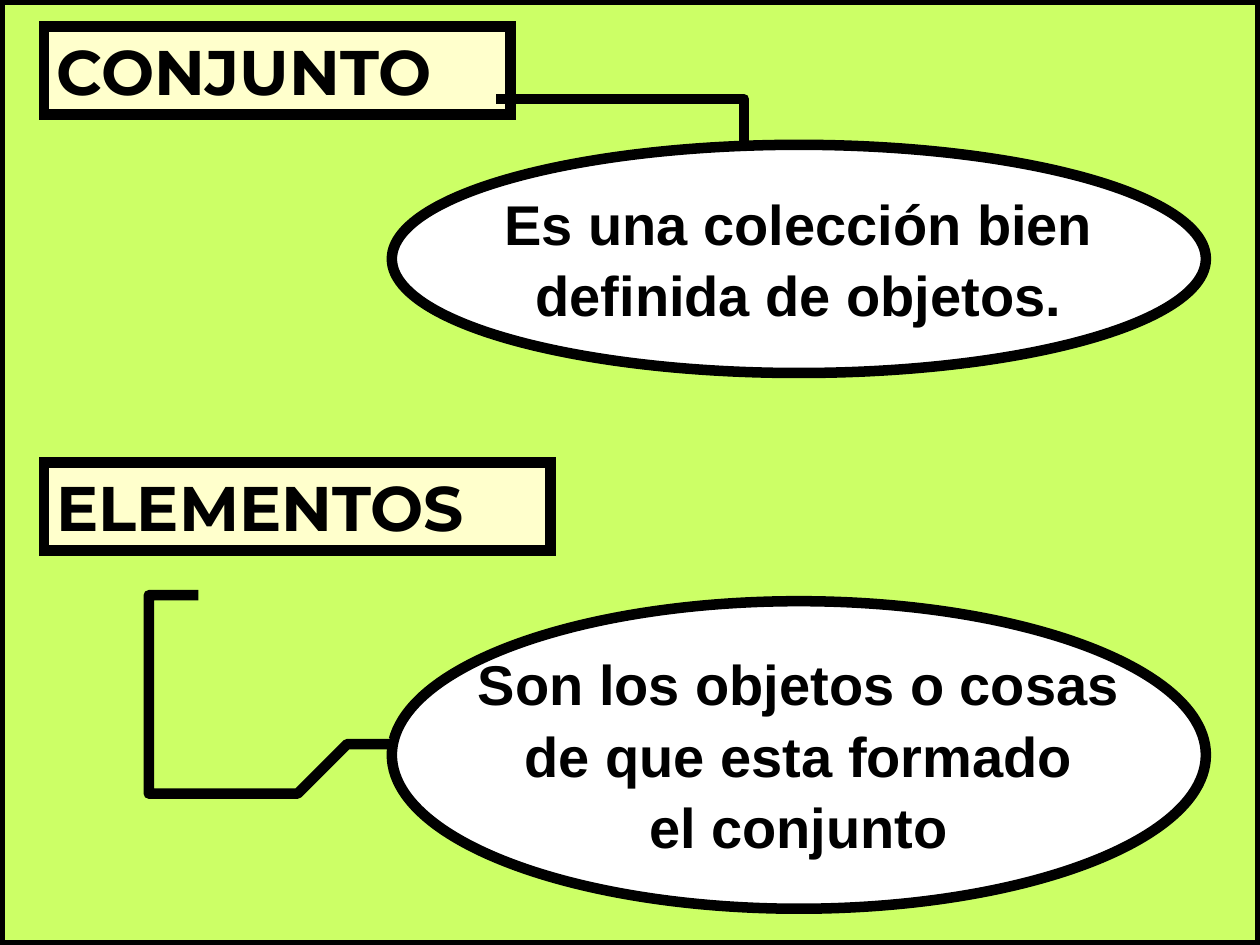
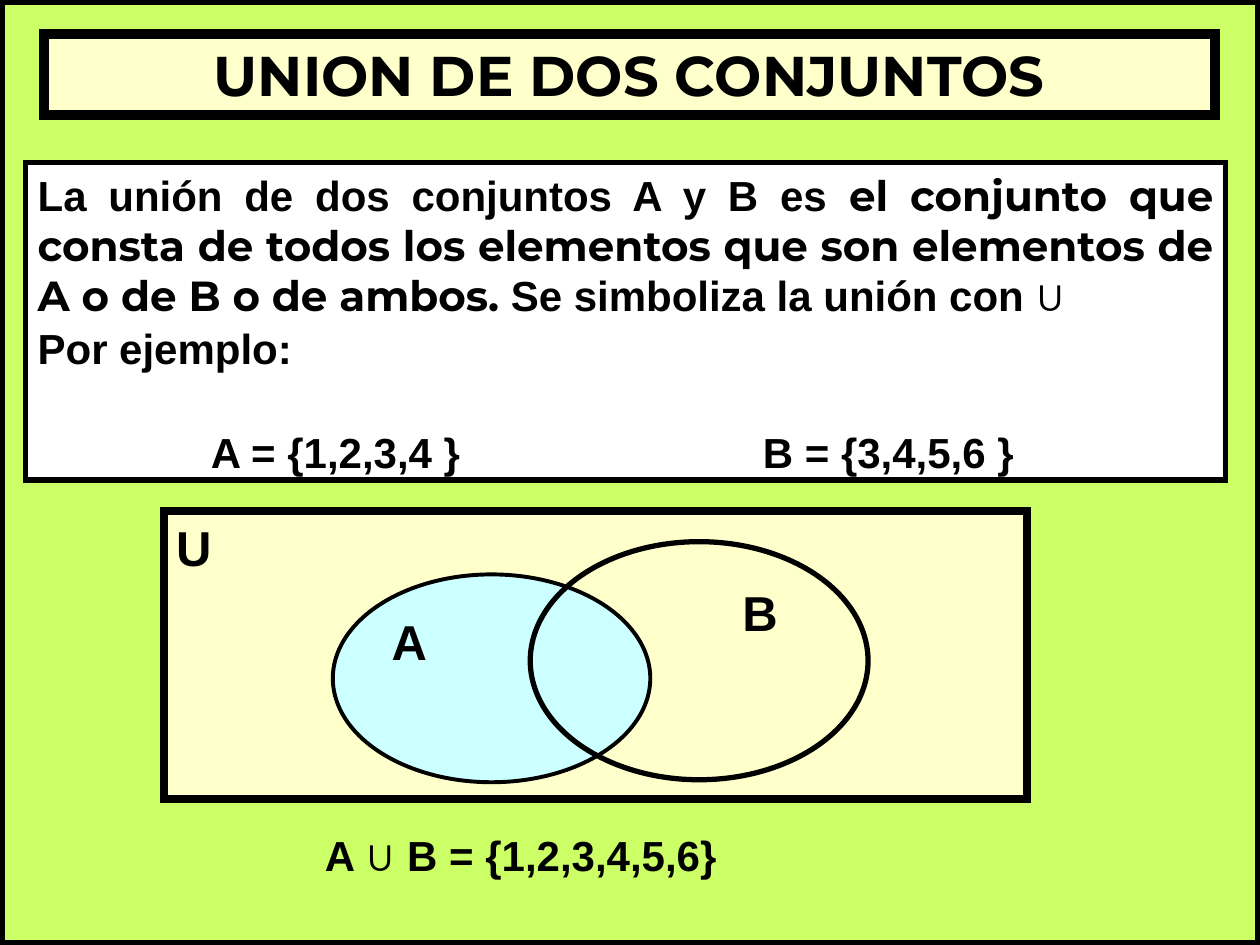
from dataclasses import dataclass

from lxml import etree
from pptx import Presentation
from pptx.dml.color import RGBColor
from pptx.enum.shapes import MSO_SHAPE
from pptx.enum.text import MSO_ANCHOR, MSO_AUTO_SIZE, PP_ALIGN
from pptx.oxml.ns import qn
from pptx.util import Cm, Pt

RECT, OVAL = MSO_SHAPE.RECTANGLE, MSO_SHAPE.OVAL
LEFT, CENTER, JUSTIFY = PP_ALIGN.LEFT, PP_ALIGN.CENTER, PP_ALIGN.JUSTIFY
TOP, MIDDLE = MSO_ANCHOR.TOP, MSO_ANCHOR.MIDDLE
NO_AUTOFIT = MSO_AUTO_SIZE.NONE

COLORS = {
    "ink": "000000",
    "lime": "CCFF66",
    "cream": "FFFFCC",
    "white": "FFFFFF",
    "sky": "CCFFFF",
}
BODY_FONT, TITLE_FONT = "Arial", "Montserrat"
SLIDE_W, SLIDE_H = 25.4, 19.05
THICK = 6


@dataclass(frozen=True)
class Panel:
    """An outlined shape with its text; lengths in cm, sizes in points."""
    box: tuple[float, float, float, float]
    lines: tuple[str, ...] = ()
    size: float = 28
    kind: int = RECT
    fill: str | None = "cream"
    outline: float = THICK
    font: str = BODY_FONT
    align: int = LEFT
    anchor: int = TOP
    wrap: bool = True
    gap: float = 0
    inset: float = 0.25


@dataclass(frozen=True)
class Link:
    """A hand-drawn line through points in cm."""
    points: tuple[tuple[float, float], ...]
    fill: str | None = None


def rgb(name: str) -> RGBColor:
    return RGBColor.from_string(COLORS[name])


def paint(shape, fill: str | None, outline: float) -> None:
    if fill:
        shape.fill.solid()
        shape.fill.fore_color.rgb = rgb(fill)
    else:
        shape.fill.background()
    shape.line.color.rgb = rgb("ink")
    shape.line.width = Pt(outline)


def style_paragraph(paragraph, size: float, font: str | None, align: int, before: float = 0) -> None:
    paragraph.alignment = align
    paragraph.space_before, paragraph.space_after = Pt(before), Pt(0)
    paragraph.font.size = Pt(size)
    paragraph.font.bold = True
    paragraph.font.color.rgb = rgb("ink")
    if font:
        paragraph.font.name = font


def set_frame(frame, anchor: int, wrap: bool, inset: float) -> None:
    frame.auto_size = NO_AUTOFIT
    frame.word_wrap = wrap
    frame.vertical_anchor = anchor
    frame.margin_left, frame.margin_right = Cm(inset), Cm(0.25)
    frame.margin_top = frame.margin_bottom = Cm(0.13)


def write_lines(shape, panel: Panel) -> None:
    frame = shape.text_frame
    set_frame(frame, panel.anchor, panel.wrap, panel.inset)
    for i, line in enumerate(panel.lines):
        paragraph = frame.add_paragraph() if i else frame.paragraphs[0]
        paragraph.text = line
        style_paragraph(paragraph, panel.size, panel.font, panel.align, panel.gap if i else 0)


def dress(shape, panel: Panel) -> None:
    """Paint the panel with square corners and write its text."""
    paint(shape, panel.fill, panel.outline)
    outline = shape._element.spPr.find(qn("a:ln"))
    etree.SubElement(outline, qn("a:miter"), lim="800000")
    write_lines(shape, panel)


def add_panel(slide, panel: Panel):
    shape = slide.shapes.add_shape(panel.kind, *map(Cm, panel.box))
    shape.shadow.inherit = False
    dress(shape, panel)
    return shape


def add_link(slide, link: Link) -> None:
    start, *rest = link.points
    builder = slide.shapes.build_freeform(*start, scale=Cm(1))
    builder.add_line_segments(rest, close=False)
    stroke = builder.convert_to_shape()
    stroke.shadow.inherit = False
    paint(stroke, link.fill, THICK)


def start_slide(prs, heading: Panel):
    """Title-only slide with the framed lime backdrop behind its title."""
    slide = prs.slides.add_slide(prs.slide_layouts[5])
    add_panel(slide, Panel((0, 0, SLIDE_W, SLIDE_H), fill="lime"))
    title = slide.shapes.title
    title.left, title.top, title.width, title.height = map(Cm, heading.box)
    dress(title, heading)
    slide.shapes._spTree.append(title._element)
    return slide


def term(box: tuple[float, float, float, float], text: str, size: float = 36, align: int = LEFT) -> Panel:
    return Panel(box, (text,), size, font=TITLE_FONT, align=align)


def meaning(top: float, height: float, *lines: str) -> Panel:
    return Panel((7.9, top, 16.41, height), lines, 32, OVAL, "white",
                 align=CENTER, anchor=MIDDLE, wrap=False, gap=2.4)


# Slide 1: the two terms and their meanings
SET_TERM = term((0.89, 0.53, 9.4, 1.78), "CONJUNTO")
ELEMENTS_TERM = term((0.89, 9.32, 10.21, 1.78), "ELEMENTOS")
SET_MEANING = meaning(2.92, 4.6, "Es una colección bien", "definida de objetos.")
ELEMENTS_MEANING = meaning(12.12, 6.2, "Son los objetos o cosas", "de que esta formado", "el conjunto")
SET_LINK = Link((
    (10.31, 1.6), (12.78, 1.65), (13.23, 1.8), (14.12, 2.08), (14.22, 2.16),
    (14.45, 2.24), (14.83, 2.44), (15.24, 2.77), (15.34, 2.87), (15.47, 2.92),
))
ELEMENTS_LINK = Link((
    (4.37, 11.51), (4.42, 11.68), (4.22, 11.76), (3.96, 11.89), (3.4, 11.96),
    (3.15, 12.09), (3.1, 12.22), (3, 12.32), (2.77, 12.67), (2.69, 12.93),
    (2.57, 13.23), (2.64, 14.94), (2.77, 15.06), (2.79, 15.24), (3, 15.49),
    (3.28, 15.89), (3.71, 16.13), (5.69, 16.1), (6.05, 15.9), (6.35, 15.77),
    (6.5, 15.7), (6.78, 15.41), (6.93, 15.29), (7.24, 15.32), (7.87, 15.34),
), fill="lime")

# Slide 2: the union of two sets
UNION_TITLE = term((0.89, 0.69, 23.6, 1.63), "UNION DE DOS CONJUNTOS", 32, CENTER)
DEFINITION_BOX = Panel((0.51, 3.28, 24.2, 6.4), fill="white", outline=3)
DEFINITION = (
    ("La unión de dos conjuntos A y B es ", BODY_FONT),
    ("el conjunto que consta de todos los elementos que son elementos de A o de B o de ambos.", TITLE_FONT),
    (" Se simboliza la unión con ∪", BODY_FONT),
)
EXAMPLE_SETS = "\tA = {1,2,3,4 }\tB = {3,4,5,6 }"
EXAMPLE_TABS = (3.49, 14.62)
VENN = (
    Panel((3.3, 10.31, 17.4, 5.79), ("U",), outline=4.5),
    Panel((6.71, 11.58, 6.4, 4.19), ("A",), kind=OVAL, fill="sky", outline=2.25),
    Panel((10.69, 10.92, 6.81, 4.8), ("B",), kind=OVAL, fill=None, outline=3, inset=3.28),
)
RESULT = Panel((6.3, 16.59, 9.68, 1.27), ("A ∪ B = {1,2,3,4,5,6}",), 24, anchor=MIDDLE)


def add_tabs(paragraph, stops: tuple[float, ...]) -> None:
    tabs = etree.SubElement(paragraph._p.get_or_add_pPr(), qn("a:tabLst"))
    for stop in stops:
        etree.SubElement(tabs, qn("a:tab"), pos=str(Cm(stop)), algn="l")


def build_terms(prs) -> None:
    slide = start_slide(prs, SET_TERM)
    for panel in (SET_MEANING, ELEMENTS_TERM, ELEMENTS_MEANING):
        add_panel(slide, panel)
    for link in (SET_LINK, ELEMENTS_LINK):
        add_link(slide, link)


def build_union(prs) -> None:
    slide = start_slide(prs, UNION_TITLE)

    # Definition and example
    frame = add_panel(slide, DEFINITION_BOX).text_frame
    definition = frame.paragraphs[0]
    for text, font in DEFINITION:
        run = definition.add_run()
        run.text = text
        run.font.name = font
    style_paragraph(definition, 24, None, JUSTIFY)
    example = frame.add_paragraph()
    example.text = "Por ejemplo:"
    style_paragraph(example, 24, BODY_FONT, JUSTIFY, 1.5)
    example_sets = frame.add_paragraph()
    example_sets.add_run().text = EXAMPLE_SETS
    add_tabs(example_sets, EXAMPLE_TABS)
    style_paragraph(example_sets, 24, BODY_FONT, LEFT, 30.6)

    # Venn diagram and result
    for panel in VENN:
        add_panel(slide, panel)
    result = slide.shapes.add_textbox(*map(Cm, RESULT.box))
    write_lines(result, RESULT)


def main() -> None:
    prs = Presentation()
    prs.slide_width, prs.slide_height = Cm(SLIDE_W), Cm(SLIDE_H)
    build_terms(prs)
    build_union(prs)
    prs.save("out.pptx")


if __name__ == "__main__":
    main()
